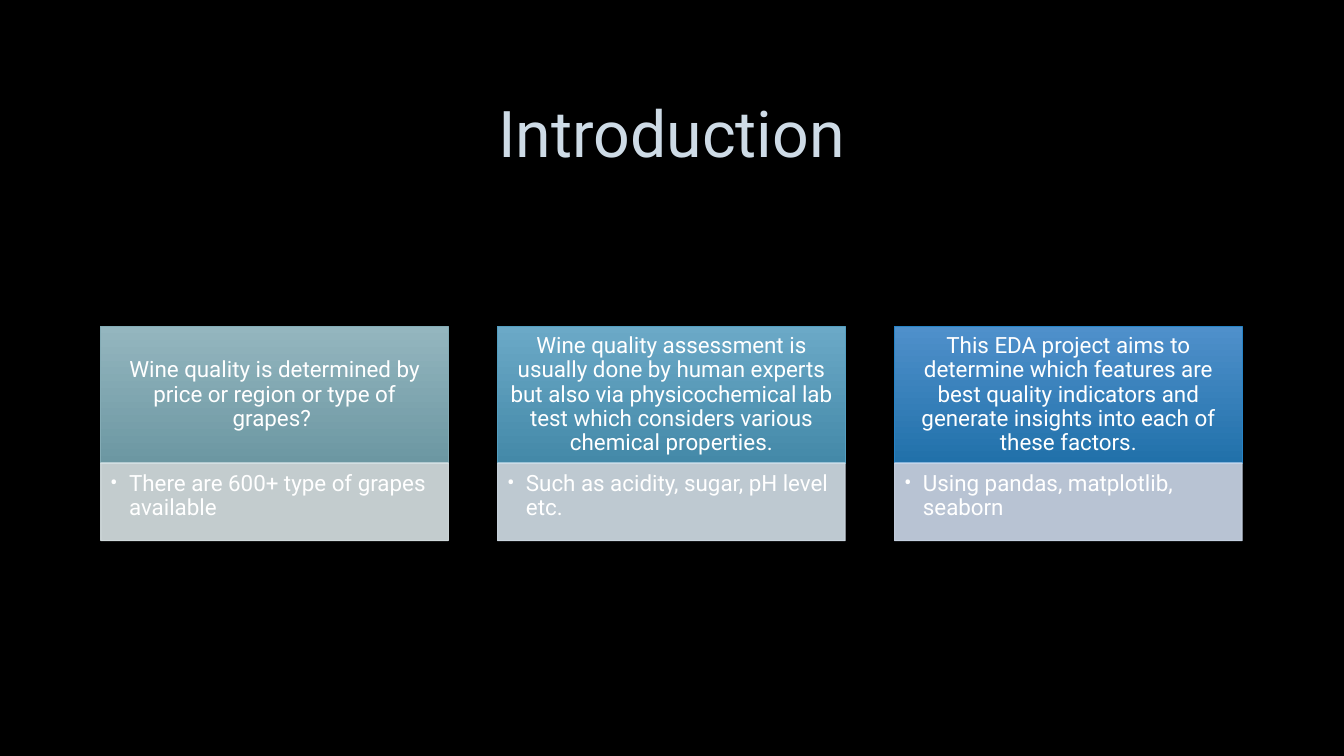
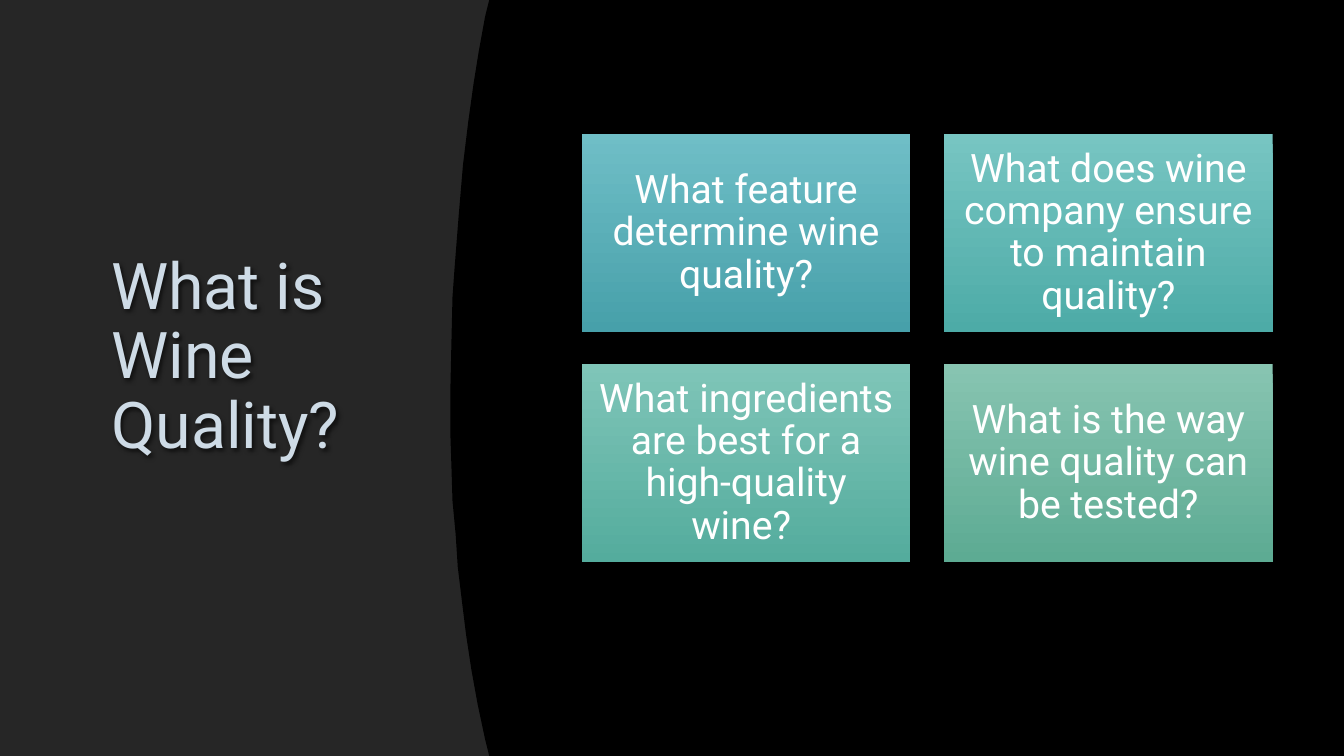
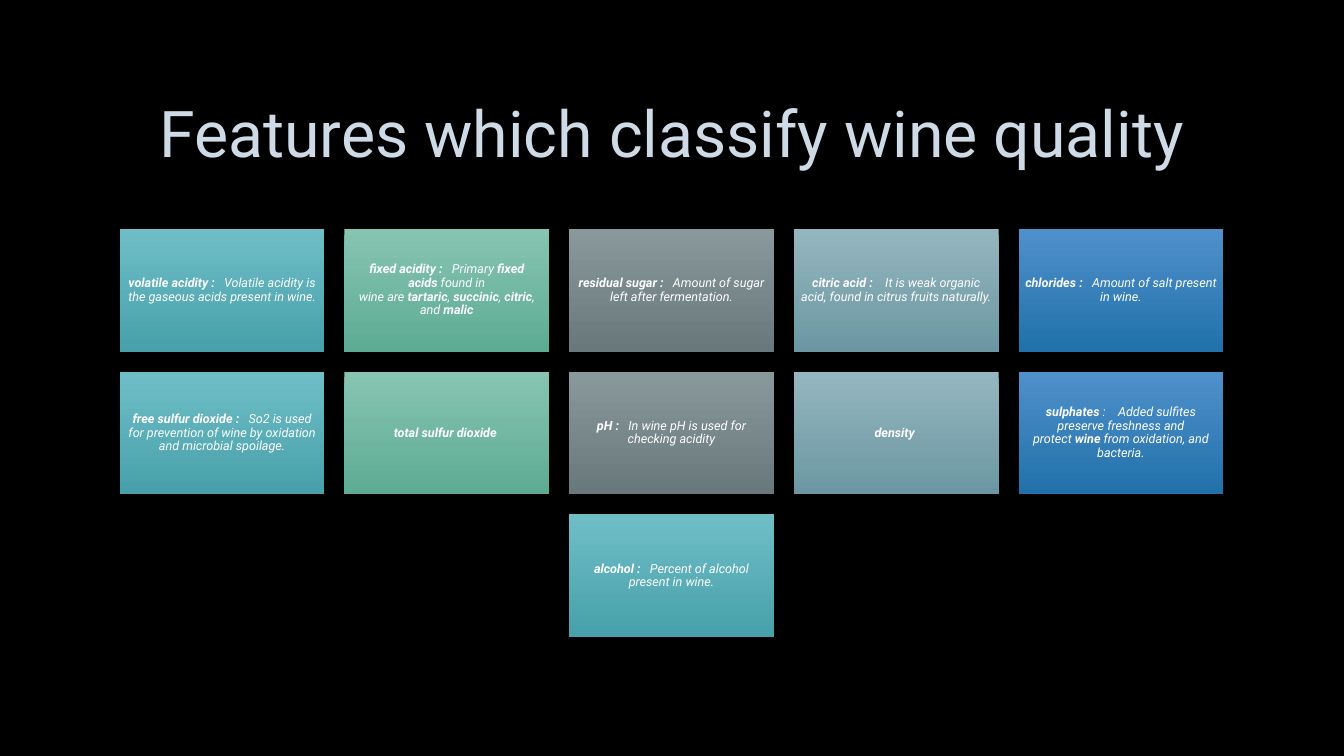
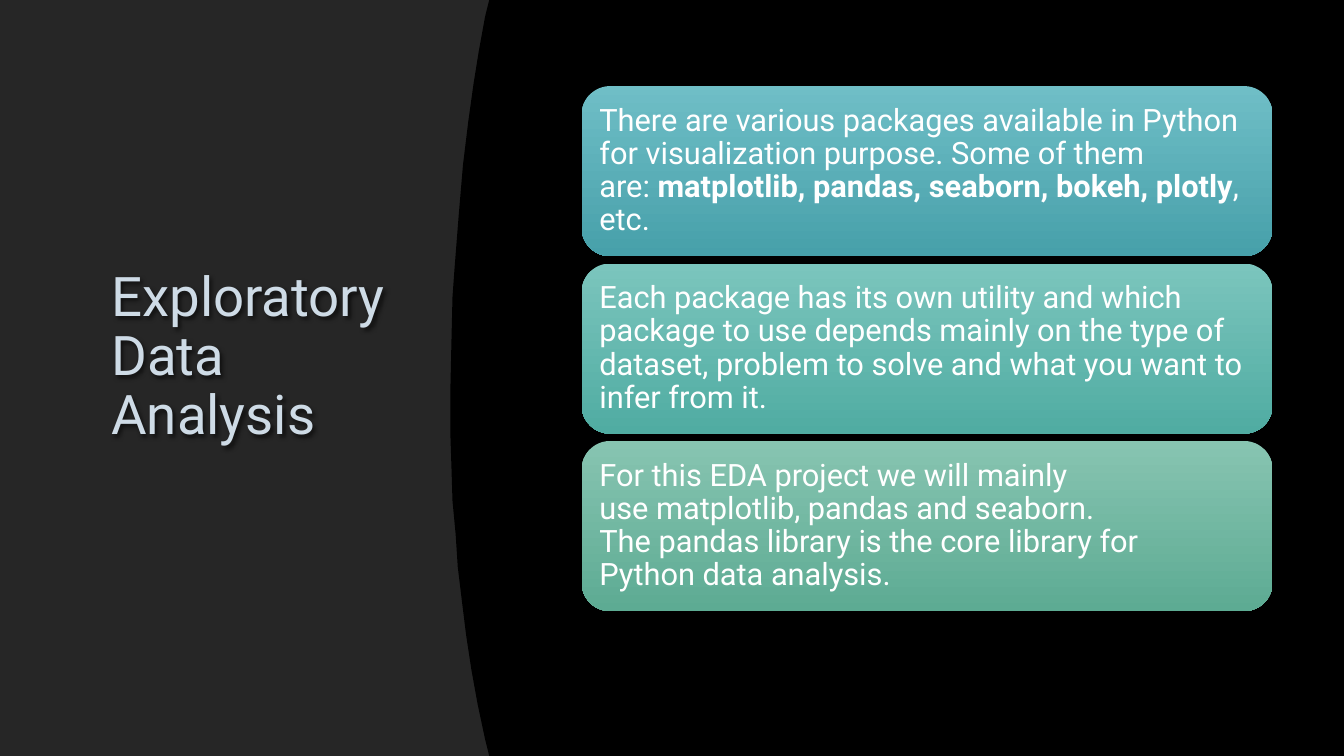
from pptx import Presentation
from pptx.dml.color import RGBColor
from pptx.enum.shapes import MSO_SHAPE
from pptx.enum.text import MSO_ANCHOR, MSO_AUTO_SIZE, PP_ALIGN
from pptx.oxml import parse_xml
from pptx.oxml.ns import nsdecls, qn
from pptx.util import Pt

RECT, ROUNDED = MSO_SHAPE.RECTANGLE, MSO_SHAPE.ROUNDED_RECTANGLE
TOP, MIDDLE = MSO_ANCHOR.TOP, MSO_ANCHOR.MIDDLE
LEFT, CENTER = PP_ALIGN.LEFT, PP_ALIGN.CENTER
NO_AUTOFIT = MSO_AUTO_SIZE.NONE

PX = 9525
WIDTH, HEIGHT = 1280, 720
FONT = "Roboto"
BOLD_MARK, HARD_SPACE_MARK, HARD_SPACE = "*", "~", chr(160)
BLACK, WHITE, PANEL, TITLE = "000000", "FFFFFF", "262626", "CEDBE6"
TEAL = ("6FBEC6", "47A0AA")
AQUA = ("77C5C2", "4DABA7")
SEA = ("7BC5BD", "50ACA2")
JADE = ("7FC5B8", "54AC9D")
GREEN = ("87C4B1", "5DAB93")
GREY = ("89989A", "69787A")
MIST = ("94B6BF", "6C97A2")
SKY = ("6BA9C7", "4489A8")
BLUE = ("4F90CB", "2171AA")

SHADOW = (
    f'<a:effectLst {nsdecls("a")}><a:outerShdw blurRad="%d" dist="%d" dir="%d" algn="ctr" rotWithShape="0">'
    '<a:srgbClr val="000000"><a:alpha val="%d"/></a:srgbClr></a:outerShdw></a:effectLst>'
)
CARD_SHADOW = SHADOW % (63500, 25400, 5400000, 60000)
TITLE_SHADOW = SHADOW % (38100, 25400, 2700000, 60000)
TITLE_OUTLINE = (
    f'<a:ln {nsdecls("a")} w="9525"><a:solidFill><a:srgbClr val="404040">'
    '<a:alpha val="10000"/></a:srgbClr></a:solidFill></a:ln>'
)
ALPHA = f'<a:alpha {nsdecls("a")} val="90000"/>'
BULLET_PARTS = [
    f'<a:buFont {nsdecls("a")} typeface="{FONT}"/>',
    f'<a:buChar {nsdecls("a")} char="•"/>',
]


def rgb(value):
    return RGBColor.from_string(value)


def write(frame, text, size, color, align, anchor, margins, italic=None):
    frame_format = dict(word_wrap=True, auto_size=NO_AUTOFIT, vertical_anchor=anchor)
    for side, margin in zip(("left", "top", "right", "bottom"), margins):
        frame_format[f"margin_{side}"] = margin * PX
    for name, value in frame_format.items():
        setattr(frame, name, value)
    paragraph = frame.paragraphs[0]
    paragraph.alignment = align
    paragraph.line_spacing = 0.9
    for index, part in enumerate(text.replace(HARD_SPACE_MARK, HARD_SPACE).split(BOLD_MARK)):
        if part:
            run = paragraph.add_run()
            run.text = part
            font_format = dict(name=FONT, size=Pt(size), bold=index % 2 == 1, italic=italic)
            for name, value in font_format.items():
                setattr(run.font, name, value)
            run.font.color.rgb = rgb(color)
    return paragraph


deck = Presentation()
deck.slide_width, deck.slide_height = WIDTH * PX, HEIGHT * PX
master_fill = deck.slide_master.background.fill
master_fill.solid()
master_fill.fore_color.rgb = rgb(BLACK)
title_only = deck.slide_layouts[5]

curve = [
    (466, 0), (462, 16), (456, 49), (451, 80), (446, 116), (441, 157),
    (437, 204), (433, 255), (431, 283), (430, 325), (429, 369), (429, 415),
    (430, 445), (431, 477), (434, 509), (436, 540), (440, 573), (444, 605),
    (449, 638), (455, 671), (462, 704), (466, 720),
]

headings = [
    ("Introduction", 46, False),
    ("What is Wine Quality?", 46, True),
    ("Features which classify wine quality", 46, False),
    ("Exploratory Data Analysis", 39, True),
]
slides = []
for heading, size, has_panel in headings:
    slide = deck.slides.add_slide(title_only)
    slides.append(slide)
    title = slide.shapes.title
    title.left, title.top = 96 * PX, 64 * PX
    title.width, title.height = (294 * PX, 554 * PX) if has_panel else (1087 * PX, 132 * PX)
    line = write(title.text_frame, heading, size, TITLE, LEFT if has_panel else CENTER, MIDDLE, (10, 5, 10, 5))
    line.runs[0].font._element.insert(0, parse_xml(TITLE_OUTLINE))
    title._element.spPr.append(parse_xml(TITLE_SHADOW))
    if has_panel:
        panel = slide.shapes.add_shape(RECT, 0, 0, WIDTH * PX, HEIGHT * PX)
        title._element.addprevious(panel._element)
        builder = slide.shapes.build_freeform(WIDTH, 0, scale=PX)
        builder.add_line_segments(curve + [(WIDTH, HEIGHT)], close=True)
        stage = builder.convert_to_shape()
        for backdrop, color in ((panel, PANEL), (stage, BLACK)):
            backdrop.fill.solid()
            backdrop.fill.fore_color.rgb = rgb(color)
            backdrop.line.fill.background()
            backdrop.shadow.inherit = False
introduction, questions, features, analysis = slides

topics = [
    ("Wine quality is determined by price or region or type of grapes? ",
     "There are 600+ type of grapes available", MIST, "84ACB6", "D9E3E5"),
    ("Wine quality assessment is usually done by human experts but also via physicochemical lab test "
     "which considers various chemical properties.",
     "Such as acidity, sugar, pH level etc.", SKY, "539EC0", "D3DFE8"),
    ("This EDA project aims to determine which features are best quality indicators and generate "
     "insights into each of these factors.",
     "Using pandas, matplotlib, seaborn", BLUE, "2683C6", "CDD9EA"),
]
quality_questions = [
    ("What feature determine wine quality?", TEAL),
    ("What does wine company ensure to maintain quality?", AQUA),
    ("What ingredients are best for a high-quality wine? ", JADE),
    ("What is the way wine quality can be tested?", GREEN),
]
wine_features = [
    "*volatile acidity :*~ ~Volatile acidity~is the~gaseous acids present in wine.",
    "*fixed acidity :~ ~*Primary~*fixed acids*~found in wine~are~*tartaric*,~*succinic*,~*citric*, and~*malic*",
    "*residual sugar :~ ~*Amount of sugar left after fermentation.",
    "*citric acid :~ ~*~It is weak organic acid, found in citrus fruits naturally.",
    "*chlorides :~ ~*Amount of salt present in wine.",
    "*free sulfur dioxide :*~ ~So2 is used for prevention of wine by oxidation and~microbial spoilage.",
    "*total sulfur dioxide~*",
    "*pH :~ ~*In wine pH is used for checking acidity",
    "*density~*",
    "*sulphates~*:~ ~ Added sulfites preserve freshness and protect~*wine*~from oxidation, and bacteria.",
    "*alcohol :*~ ~Percent of alcohol present in wine.",
]
feature_colors = [TEAL, GREEN, GREY, MIST, BLUE]
packages = [
    ("There are various packages available in Python for visualization purpose. Some of them are:~"
     "*matplotlib, pandas, seaborn, bokeh, plotly*, etc.", TEAL),
    ("Each package has its own utility and which package to use depends mainly on the type of dataset, "
     "problem to solve and what you want to infer from it.", SEA),
    ("For this EDA project we will mainly use~matplotlib, pandas and seaborn. "
     "The~pandas~library is the~core library~for Python~data analysis.", GREEN),
]

cards = []
for column, (statement, detail, colors, border, tint) in enumerate(topics):
    left = 96 + column * 378
    cards.append((introduction, RECT, (left, 311, 331, 130), colors, border, statement,
                  dict(size=16, align=CENTER, anchor=MIDDLE, margins=(12, 7, 12, 7))))
    cards.append((introduction, RECT, (left, 441, 331, 74), (tint,), tint, detail,
                  dict(size=16, align=LEFT, anchor=TOP, margins=(9, 9, 12, 14))))
for index, (question, colors) in enumerate(quality_questions):
    row, column = divmod(index, 2)
    cards.append((questions, RECT, (554 + column * 345, 128 + row * 219, 313, 188), colors, None, question,
                  dict(size=28, align=CENTER, anchor=MIDDLE, margins=(12, 12, 12, 12))))
columns = len(feature_colors)
for index, feature in enumerate(wine_features):
    row, column = divmod(index, columns)
    in_row = min(columns, len(wine_features) - row * columns)
    left = 114 + column * 214 + (columns - in_row) * 107
    cards.append((features, RECT, (left, 218 + row * 136, 195, 117), feature_colors[column], None, feature,
                  dict(size=9, align=CENTER, anchor=MIDDLE, margins=(4, 4, 4, 4), italic=True)))
for row, (package_note, colors) in enumerate(packages):
    cards.append((analysis, ROUNDED, (554, 82 + row * 169, 658, 162), colors, None, package_note,
                  dict(size=22, align=LEFT, anchor=MIDDLE, margins=(9, 9, 9, 9))))

for slide, outline, place, colors, border, text, text_format in cards:
    card = slide.shapes.add_shape(outline, *(length * PX for length in place))
    if border:
        card.line.color.rgb = rgb(border)
        card.line.width = Pt(0.75)
    else:
        card.line.fill.background()
    paragraph = write(card.text_frame, text, color=WHITE, **text_format)
    if len(colors) == 2:
        card.fill.gradient()
        card.fill.gradient_angle = 270
        for stop, color in zip(card.fill.gradient_stops, colors):
            stop.color.rgb = rgb(color)
        card._element.spPr.append(parse_xml(CARD_SHADOW))
    else:
        card.fill.solid()
        card.fill.fore_color.rgb = rgb(colors[0])
        card.shadow.inherit = False
        for tint in card._element.spPr.iter(qn("a:srgbClr")):
            tint.append(parse_xml(ALPHA))
        bullet_properties = paragraph._p.get_or_add_pPr()
        bullet_properties.set("marL", str(18 * PX))
        bullet_properties.set("indent", str(-18 * PX))
        for bullet_part in BULLET_PARTS:
            bullet_properties.append(parse_xml(bullet_part))

deck.save("out.pptx")
